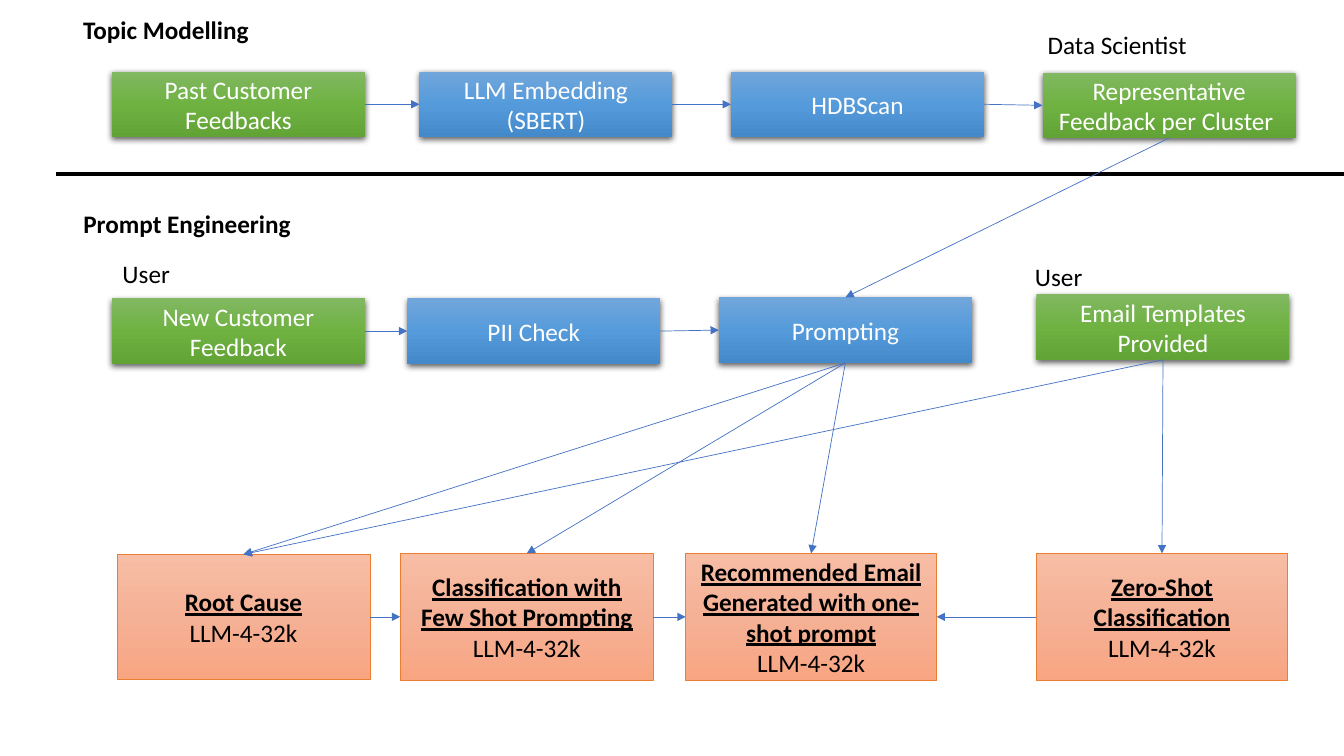
import copy

import lxml.etree
import pptx
import pptx.dml.color
import pptx.enum.dml
import pptx.enum.shapes
import pptx.enum.text
import pptx.oxml.ns
import pptx.util

PX = 9144  # EMU; 100 px to the inch
COLORS = {"black": "000000", "white": "FFFFFF", "arrow": "4472C4", "model_edge": "ED7D31"}
GRADIENTS = {
    "human": ("81B861", "6FB242", "62A336"),
    "process": ("71A6DB", "559BDB", "448ACA"),
    "model": ("F7BDA5", "F5B196", "F8A582"),
}
TOP, LEFT, BOTTOM, RIGHT = range(4)  # connection sites of a rectangle
STEP_W, STEP_H = 251, 65
MODEL_NAME = "LLM-4-32k"


def px(*lengths):
    return [pptx.util.Emu(length * PX) for length in lengths]


def rgb(name):
    return pptx.dml.color.RGBColor.from_string(COLORS.get(name, name))


def add_child(parent, tag, **attributes):
    child = lxml.etree.SubElement(parent, pptx.oxml.ns.qn(tag))
    for key, value in attributes.items():
        child.set(key, str(value))
    return child


def write(paragraph, text, color, bold=False, underline=False):
    paragraph.text = text
    paragraph.alignment = pptx.enum.text.PP_ALIGN.CENTER
    font = paragraph.font
    font.name, font.size = "Calibri", pptx.util.Pt(18)
    font.bold, font.underline = bold, underline
    font.color.rgb = rgb(color)


def label(slide, text, box, bold=False):
    frame = slide.shapes.add_textbox(*px(*box)).text_frame
    frame.word_wrap = False
    frame.auto_size = pptx.enum.text.MSO_AUTO_SIZE.SHAPE_TO_FIT_TEXT
    write(frame.paragraphs[0], text, "black", bold)


def gradient_box(slide, box, kind):
    """Add a rectangle with a three-stop gradient running downwards."""
    shape = slide.shapes.add_shape(pptx.enum.shapes.MSO_SHAPE.RECTANGLE, *px(*box))
    shape.shadow.inherit = False
    shape.fill.gradient()
    shape.fill.gradient_angle = 270
    stop_list = next(shape._element.spPr.iter(pptx.oxml.ns.qn("a:gsLst")))
    stop_list.insert(1, copy.deepcopy(stop_list[0]))
    for stop, position, color in zip(shape.fill.gradient_stops, (0, 0.5, 1), GRADIENTS[kind]):
        stop.position = position
        stop.color.rgb = rgb(color)
    shape.text_frame.word_wrap = True
    shape.text_frame.vertical_anchor = pptx.enum.text.MSO_ANCHOR.MIDDLE
    return shape


def step_box(slide, text, left, top, kind):
    step = gradient_box(slide, (left, top, STEP_W, STEP_H), kind)
    step.line.fill.background()
    effects = step._element.spPr.find(pptx.oxml.ns.qn("a:effectLst"))
    shadow = add_child(effects, "a:outerShdw", blurRad=57150, dist=19050,
                       dir=5400000, algn="ctr", rotWithShape=0)
    black = add_child(shadow, "a:srgbClr", val=COLORS["black"])
    add_child(black, "a:alpha", val=63000)
    write(step.text_frame.paragraphs[0], text, "white")
    return step


def model_box(slide, task, box):
    model = gradient_box(slide, box, "model")
    model.line.color.rgb = rgb("model_edge")
    model.line.width = pptx.util.Pt(0.5)
    write(model.text_frame.paragraphs[0], task, "black", bold=True, underline=True)
    write(model.text_frame.add_paragraph(), MODEL_NAME, "black")
    return model


def straight_line(slide, ends, color, width):
    line = slide.shapes.add_connector(pptx.enum.shapes.MSO_CONNECTOR.STRAIGHT, *px(*ends))
    line.line.color.rgb = rgb(color)
    line.line.width = pptx.util.Pt(width)
    add_child(line._element.spPr, "a:effectLst")
    return line


def arrow(slide, source, target, source_site=RIGHT, target_site=LEFT):
    link = straight_line(slide, (0, 0, 0, 0), "arrow", 0.5)
    link.begin_connect(source, source_site)
    link.end_connect(target, target_site)
    add_child(link.line._get_or_add_ln(), "a:tailEnd", type="triangle")


def topic_modelling(slide, left, top):
    label(slide, "Topic Modelling", (left, top, 185, 40), bold=True)
    label(slide, "Data Scientist", (left + 956, top + 15, 160, 40))
    steps = [step_box(slide, text, left + x, top + y, kind) for text, x, y, kind in (
        ("Past Customer Feedbacks", 39, 62, "human"),
        ("LLM Embedding (SBERT)", 344, 62, "process"),
        ("HDBScan", 653, 62, "process"),
        ("Representative Feedback per Cluster ", 962, 63, "human"),
    )]
    for source, target in zip(steps, steps[1:]):
        arrow(slide, source, target)
    return steps[-1]


def prompt_engineering(slide, left, top):
    """Add the prompting row; return the prompting and e-mail template boxes."""
    label(slide, "Prompt Engineering", (left, top, 227, 40), bold=True)
    for x, y in ((39, 49), (944, 52)):
        label(slide, "User", (left + x, top + y, 68, 40))
    feedback, pii_check, prompting, templates = [
        step_box(slide, text, left + x, top + y, kind) for text, x, y, kind in (
            ("New Customer Feedback", 39, 94, "human"),
            ("PII Check", 332, 94, "process"),
            ("Prompting", 641, 93, "process"),
            ("Email Templates Provided", 956, 90, "human"),
        )]
    arrow(slide, feedback, pii_check)
    arrow(slide, pii_check, prompting)
    return prompting, templates


def model_tasks(slide, left, top):
    root_cause, few_shot, email, zero_shot = models = [
        model_box(slide, task, (left + x, top + y, width, height))
        for task, x, y, width, height in (
            ("Root Cause", 0, 1, 251, 124),
            ("Classification with Few Shot Prompting", 281, 0, 251, 126),
            ("Recommended Email Generated with one-shot prompt", 564, 0, 249, 126),
            ("Zero-Shot Classification", 912, 0, 249, 126),
        )]
    arrow(slide, root_cause, few_shot)
    arrow(slide, few_shot, email)
    arrow(slide, zero_shot, email, LEFT, RIGHT)
    return models


def main():
    deck = pptx.Presentation()
    deck.slide_width, deck.slide_height = px(1333, 750)
    slide = deck.slides.add_slide(deck.slide_layouts[6])

    representative = topic_modelling(slide, 72, 9)
    straight_line(slide, (56, 173, 1333, 173), "black", 3)
    prompting, templates = prompt_engineering(slide, 72, 202)
    root_cause, few_shot, email, zero_shot = model_tasks(slide, 116, 549)

    for source, target in (
        (representative, prompting),
        (prompting, root_cause),
        (prompting, few_shot),
        (prompting, email),
        (templates, zero_shot),
        (templates, root_cause),
    ):
        arrow(slide, source, target, BOTTOM, TOP)

    deck.save("out.pptx")


if __name__ == "__main__":
    main()
